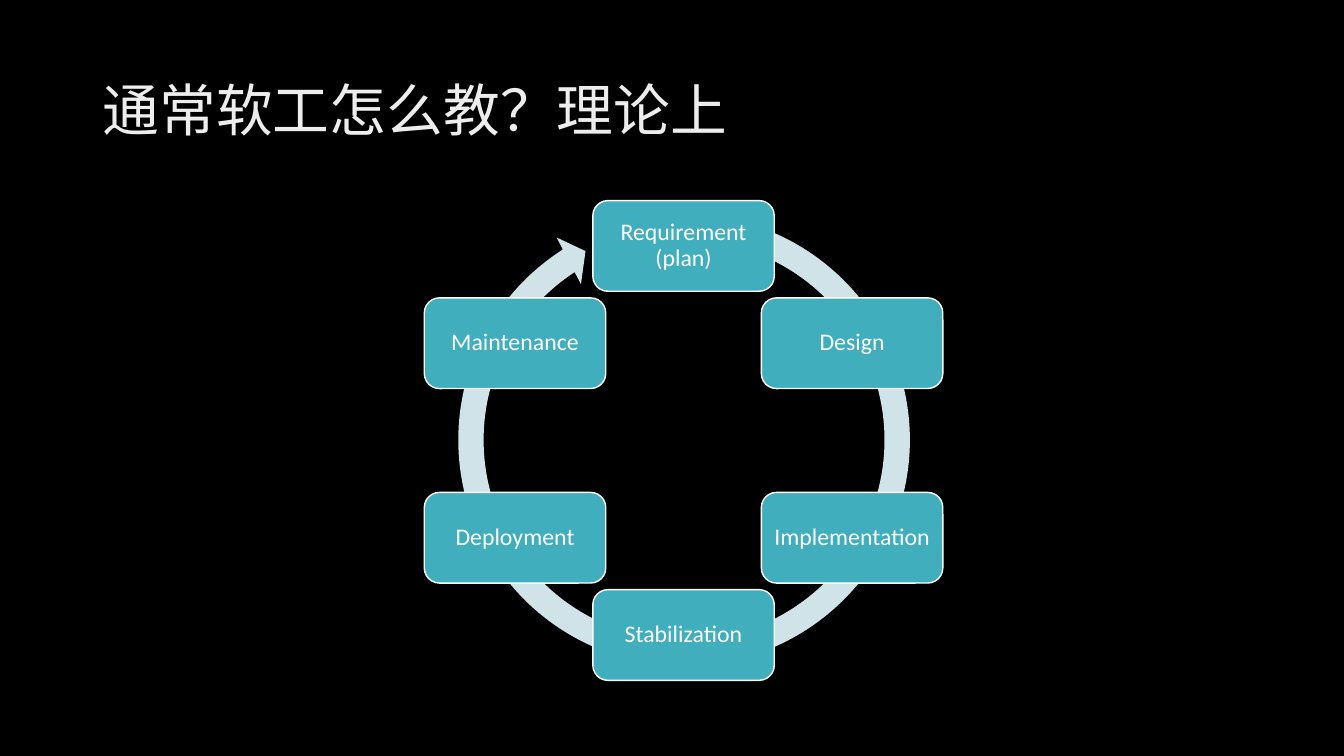
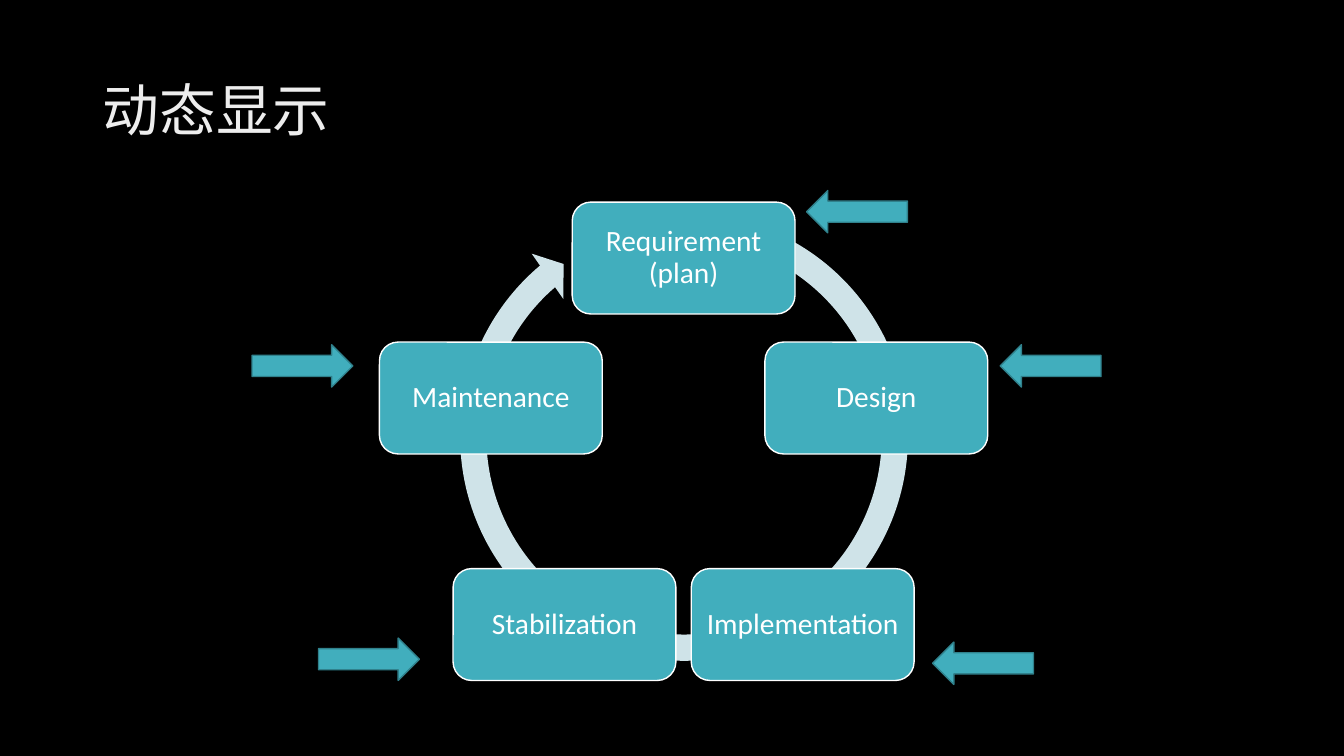
import math
import pptx
import pptx.util
import pptx.dml.color
import pptx.enum.shapes
import pptx.enum.text

Inches, Pt = pptx.util.Inches, pptx.util.Pt
KIND = pptx.enum.shapes.MSO_SHAPE
ALIGN = pptx.enum.text.PP_ALIGN
MIDDLE = pptx.enum.text.MSO_ANCHOR.MIDDLE

# Shared style
FONT = "Calibri"
BLACK, WHITE, TITLE = "000000", "FFFFFF", "EDEDED"
TEAL, EDGE, PALE = "41AEBD", "30818C", "CFE3E8"
MID = 6.78  # horizontal centre of both cycles


def paint(shape, kind, line=None):
    """Give a shape a plain fill, and an outline if a colour is named."""
    shape.shadow.inherit = False
    shape.fill.solid()
    shape.fill.fore_color.rgb = pptx.dml.color.RGBColor.from_string(kind)
    if line:
        shape.line.color.rgb = pptx.dml.color.RGBColor.from_string(line)
        shape.line.width = Pt(1)
    else:
        shape.line.fill.background()


def write(shape, text, size, color, align):
    """Put one styled line of text in a shape, centred vertically."""
    frame = shape.text_frame
    frame.word_wrap = True
    frame.vertical_anchor = MIDDLE
    par = frame.paragraphs[0]
    par.text = text
    par.alignment = align
    par.line_spacing = 0.9
    par.font.name = FONT
    par.font.size = Pt(size)
    par.font.color.rgb = pptx.dml.color.RGBColor.from_string(color)


deck = pptx.Presentation()
deck.slide_width, deck.slide_height = Inches(13.33), Inches(7.5)
back = deck.slide_master.background.fill
back.solid()
back.fore_color.rgb = pptx.dml.color.RGBColor.from_string(BLACK)

# Steps run clockwise from the top; ring is left, top, side
cycles = [
    {
        "title": "通常软工怎么教？理论上",
        "steps": ["Requirement (plan)", "Design", "Implementation",
                  "Stabilization", "Deployment", "Maintenance"],
        "mid": 4.37, "radius": 1.93, "box": (1.8, 0.9),
        "size": 17, "inset": 0.07,
        "ring": (4.41, 1.99, 4.75),
        "bend": (0.053, 3.126, 142.345, 171.233, 0.055),
        "marks": [],
    },
    {
        "title": "动态显示",
        "steps": ["Requirement (plan)", "Design", "Implementation",
                  "Stabilization", "Maintenance"],
        "mid": 4.57, "radius": 2.01, "box": (2.21, 1.11),
        "size": 21, "inset": 0.09,
        "ring": (4.42, 1.97, 4.73),
        "bend": (0.055, 3.307, 137.781, 173.846, 0.058),
        # Left, top and turn of each pointer
        "marks": [(2.5, 3.42, 0), (3.16, 6.33, 0), (9.25, 6.37, 180),
                  (9.92, 3.42, 180), (8, 1.89, 180)],
    },
]

for cycle in cycles:
    slide = deck.slides.add_slide(deck.slide_layouts[6])
    shapes = slide.shapes

    # Title
    head = shapes.add_textbox(Inches(0.92), Inches(0.4), Inches(11.5), Inches(1.45))
    write(head, cycle["title"], 40.5, TITLE, ALIGN.LEFT)

    # Ring behind the steps
    left, top, side = cycle["ring"]
    ring = shapes.add_shape(KIND.CIRCULAR_ARROW, Inches(left), Inches(top),
                            Inches(side), Inches(side))
    for i, value in enumerate(cycle["bend"]):
        ring.adjustments[i] = value
    paint(ring, PALE)

    # Steps, evenly spaced around the circle
    wide, high = cycle["box"]
    for i, step in enumerate(cycle["steps"]):
        turn = math.tau * i / len(cycle["steps"])
        x = MID + cycle["radius"] * math.sin(turn)
        y = cycle["mid"] - cycle["radius"] * math.cos(turn)
        box = shapes.add_shape(KIND.ROUNDED_RECTANGLE, Inches(x - wide / 2),
                               Inches(y - high / 2), Inches(wide), Inches(high))
        paint(box, TEAL, WHITE)
        write(box, step, cycle["size"], WHITE, ALIGN.CENTER)
        frame = box.text_frame
        frame.margin_left = frame.margin_right = Inches(cycle["inset"])
        frame.margin_top = frame.margin_bottom = Inches(cycle["inset"])

    # Pointers to the steps
    for left, top, turn in cycle["marks"]:
        mark = shapes.add_shape(KIND.RIGHT_ARROW, Inches(left), Inches(top),
                                Inches(1), Inches(0.42))
        mark.rotation = turn
        paint(mark, TEAL, EDGE)

deck.save("out.pptx")
